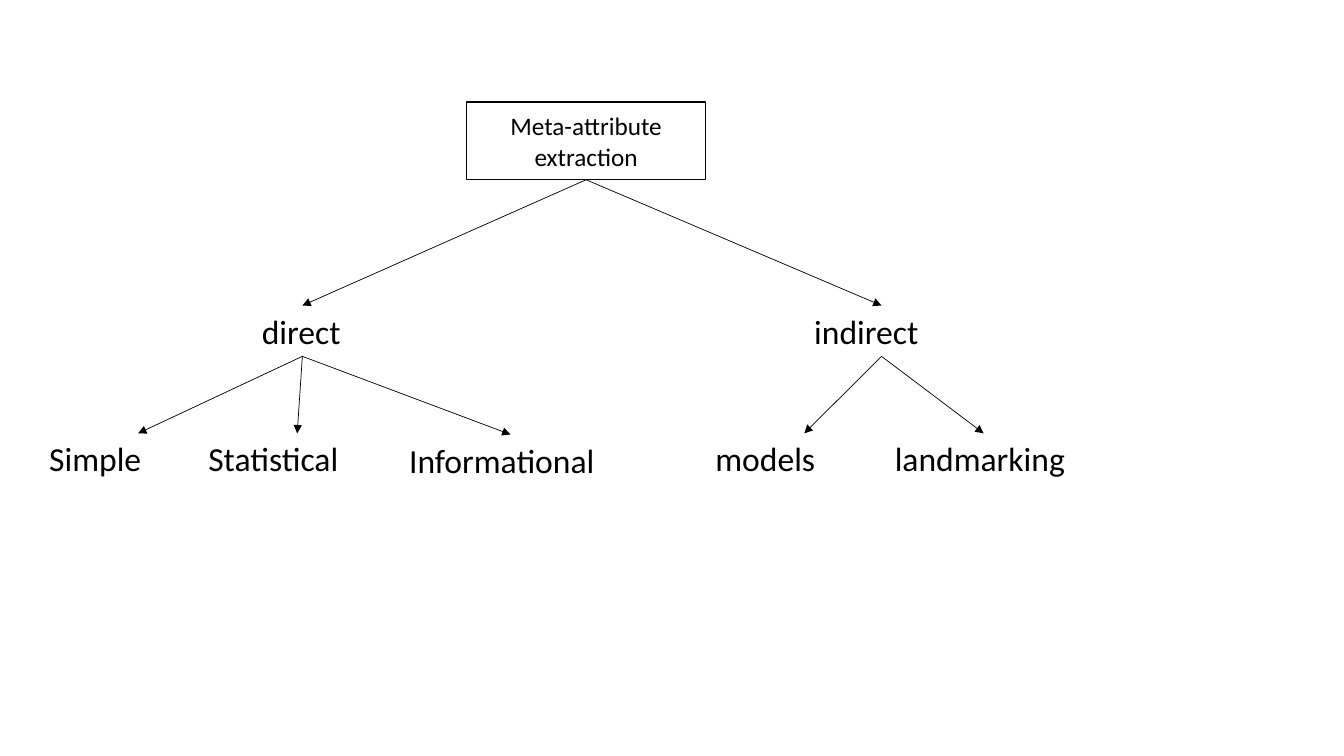
from dataclasses import dataclass

from lxml import etree
from pptx import Presentation
from pptx.dml.color import RGBColor
from pptx.enum import shapes, text
from pptx.oxml import ns
from pptx.util import Cm, Pt


@dataclass(frozen=True)
class Theme:
    ink: RGBColor = RGBColor(0, 0, 0)
    paper: RGBColor = RGBColor(255, 255, 255)
    font: str = "Calibri"
    root_size: int = 18
    label_size: int = 24
    border: float = 1
    arrow: float = 0.5


THEME = Theme()
LABEL_HEIGHT = 1.28
BRANCH_TOP, LEAF_TOP = 5.13, 8.35

# Branch: name, left, width, leaves; leaf: name, left, width, drop below the row
BRANCHES = [
    ("direct", 5.36, 2.54, [("Simple", 0, 4.98, 0),
                            ("Statistical", 4.01, 4.98, 0),
                            ("Informational", 9.07, 5.61, 0.03)]),
    ("indirect", 19.28, 3.89, [("models", 16.79, 4.98, 0),
                               ("landmarking", 21.31, 4.98, 0)]),
]


def apply(target, values):
    for name, value in values.items():
        setattr(target, name, value)


def write(shape, words, size, frame_format, alignment):
    frame = shape.text_frame
    apply(frame, {"word_wrap": True, **frame_format})
    paragraph = frame.paragraphs[0]
    paragraph.alignment = alignment
    run = paragraph.add_run()
    run.text = words
    apply(run.font, {"name": THEME.font, "size": Pt(size)})
    run.font.color.rgb = THEME.ink


def add_root(slide, words, left, top, width, height):
    shape = slide.shapes.add_shape(shapes.MSO_SHAPE.RECTANGLE,
                                   Cm(left), Cm(top), Cm(width), Cm(height))
    shape.shadow.inherit = False
    shape.fill.solid()
    shape.fill.fore_color.rgb = THEME.paper
    shape.line.color.rgb = THEME.ink
    shape.line.width = Pt(THEME.border)
    write(shape, words, THEME.root_size,
          {"vertical_anchor": text.MSO_ANCHOR.MIDDLE}, text.PP_ALIGN.CENTER)
    return shape


def add_label(slide, words, left, top, width):
    shape = slide.shapes.add_textbox(Cm(left), Cm(top), Cm(width), Cm(LABEL_HEIGHT))
    write(shape, words, THEME.label_size,
          {"auto_size": text.MSO_AUTO_SIZE.SHAPE_TO_FIT_TEXT}, text.PP_ALIGN.LEFT)
    return shape


def add_arrow(slide, parent, child):
    """Join the bottom centre of the parent to the top centre of the child."""
    arrow = slide.shapes.add_connector(shapes.MSO_CONNECTOR.STRAIGHT, 0, 0, 0, 0)
    arrow.begin_connect(parent, 2)
    arrow.end_connect(child, 0)
    arrow.line.color.rgb = THEME.ink
    arrow.line.width = Pt(THEME.arrow)
    etree.SubElement(arrow.line._get_or_add_ln(), ns.qn("a:tailEnd"), type="triangle")
    etree.SubElement(arrow._element.spPr, ns.qn("a:effectLst"))


def add_tree(slide, left, top):
    # Root
    root = add_root(slide, "Meta-attribute extraction", left + 10.77, top, 6.02, 1.96)
    # Branches and their leaves
    for name, offset, width, leaves in BRANCHES:
        branch = add_label(slide, name, left + offset, top + BRANCH_TOP, width)
        add_arrow(slide, root, branch)
        for leaf_name, leaf_offset, leaf_width, drop in leaves:
            leaf = add_label(slide, leaf_name, left + leaf_offset,
                             top + LEAF_TOP + drop, leaf_width)
            add_arrow(slide, branch, leaf)


presentation = Presentation()
apply(presentation, {"slide_width": Cm(33.87), "slide_height": Cm(19.05)})
blank_layout = presentation.slide_layouts.get_by_name("Blank")
slide = presentation.slides.add_slide(blank_layout)
add_tree(slide, left=0.99, top=2.57)
presentation.save("out.pptx")
